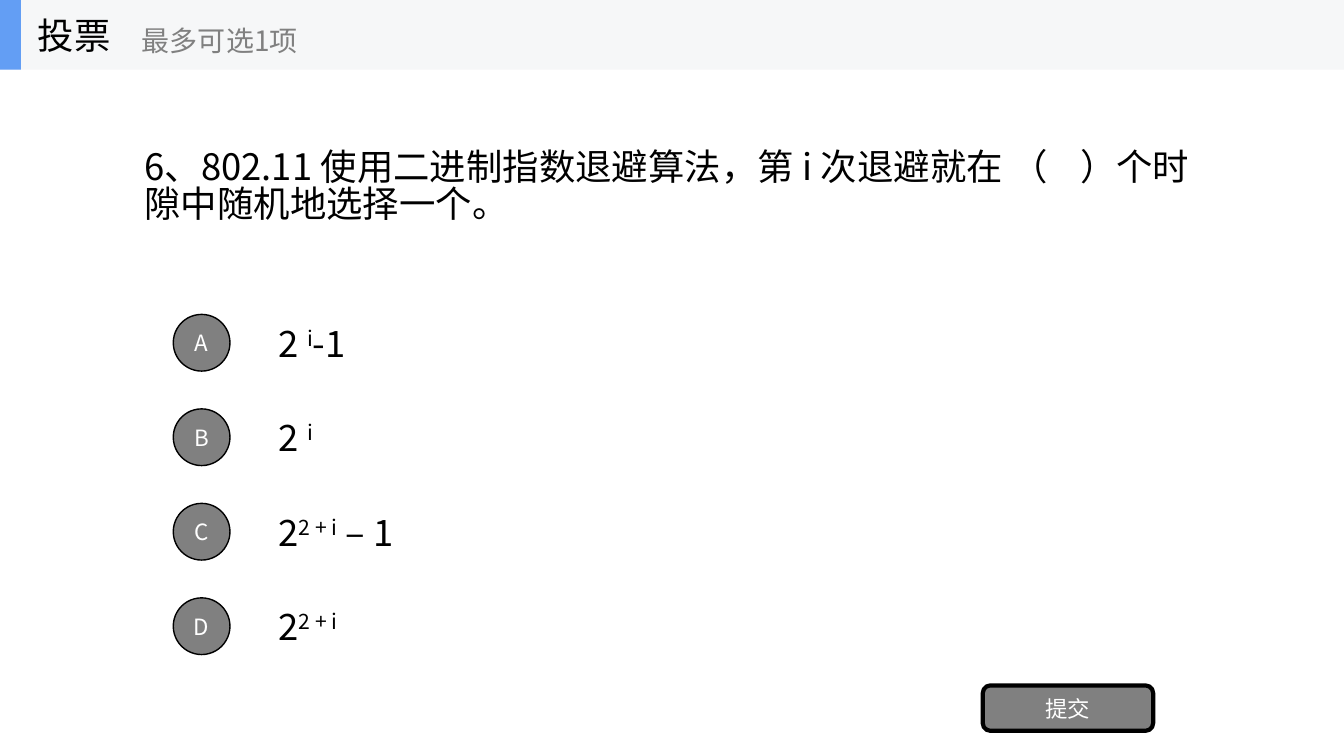
import pptx
import pptx.dml.color
import pptx.enum.shapes
import pptx.enum.text
import pptx.util
import lxml.etree

Pt = pptx.util.Pt
SHAPES = pptx.enum.shapes.MSO_SHAPE
ALIGN = pptx.enum.text.PP_ALIGN
FONT = "Noto Sans CJK SC"
BLACK, GRAY, WHITE = "000000", "808080", "FFFFFF"
HEADER_HEIGHT = 49.7
OPTION_TOP, OPTION_PITCH, OPTION_HEIGHT = 219.6, 67.5, 50.4
BADGE_SIZE = 40.5
QUESTION = "6、802.11 使用二进制指数退避算法，第 i 次退避就在 （    ）个时隙中随机地选择一个。"
OPTIONS = {
    "A": ("2 ", "i", "-1"),
    "B": ("2 ", "i"),
    "C": ("2", "2 + i", " – 1"),
    "D": ("2", "2 + i"),
}


def color(hex_code):
    """Turn a hex string into a colour."""
    return pptx.dml.color.RGBColor.from_string(hex_code)


def format_text(frame, size, hex_code, align=ALIGN.LEFT):
    """Format every run of a frame and centre the text vertically."""
    frame.word_wrap = True
    frame.auto_size = pptx.enum.text.MSO_AUTO_SIZE.NONE
    frame.vertical_anchor = pptx.enum.text.MSO_ANCHOR.MIDDLE
    for paragraph in frame.paragraphs:
        paragraph.alignment = align
        for run in paragraph.runs:
            run.font.size = Pt(size)
            run.font.name = FONT
            run.font.color.rgb = color(hex_code)
            properties = run._r.get_or_add_rPr()
            east_asian = lxml.etree.Element(pptx.oxml.ns.qn("a:ea"), typeface=FONT)
            properties.find(pptx.oxml.ns.qn("a:latin")).addnext(east_asian)


def set_question(slide):
    """Place the question in the title placeholder."""
    question = slide.shapes.title
    question.left, question.top = Pt(96), Pt(49.7)
    question.width, question.height = Pt(768), Pt(168.5)
    question.text_frame.text = QUESTION
    format_text(question.text_frame, 26, BLACK)
    question.text_frame.paragraphs[0].line_spacing = 0.85


def add_label(slide, text, left, top, width, height, size, hex_code):
    """Add a plain line of text."""
    label = slide.shapes.add_textbox(Pt(left), Pt(top), Pt(width), Pt(height))
    label.text_frame.text = text
    format_text(label.text_frame, size, hex_code)


def add_formula(slide, parts, top):
    """Add an answer whose second part is an exponent."""
    answer = slide.shapes.add_textbox(Pt(192), Pt(top), Pt(672), Pt(OPTION_HEIGHT))
    for position, part in enumerate(parts):
        run = answer.text_frame.paragraphs[0].add_run()
        run.text = part
        if position == 1:
            run._r.get_or_add_rPr().set("baseline", "30000")
    format_text(answer.text_frame, 26, BLACK)


def add_block(slide, kind, left, top, width, height, fill):
    """Add a filled shape without outline or shadow."""
    block = slide.shapes.add_shape(kind, Pt(left), Pt(top), Pt(width), Pt(height))
    block.shadow.inherit = False
    block.fill.solid()
    block.fill.fore_color.rgb = color(fill)
    block.line.fill.background()
    return block


def add_button(slide, kind, text, left, top, width, height, border):
    """Add a gray outlined button with white text."""
    button = add_block(slide, kind, left, top, width, height, GRAY)
    button.line.color.rgb = color(BLACK)
    button.line.width = Pt(border)
    frame = button.text_frame
    frame.margin_left = frame.margin_right = frame.margin_top = frame.margin_bottom = 0
    frame.text = text
    format_text(frame, 16, WHITE, ALIGN.CENTER)


def main():
    """Build the poll slide and save it."""
    deck = pptx.Presentation()
    deck.slide_width, deck.slide_height = Pt(960), Pt(540)
    slide = deck.slides.add_slide(deck.slide_layouts[5])
    set_question(slide)

    badge_offset = (OPTION_HEIGHT - BADGE_SIZE) / 2
    for row, (letter, parts) in enumerate(OPTIONS.items()):
        top = OPTION_TOP + row * OPTION_PITCH
        add_formula(slide, parts, top)
        add_button(slide, SHAPES.OVAL, letter, 123.75, top + badge_offset,
                   BADGE_SIZE, BADGE_SIZE, 1)
    add_button(slide, SHAPES.ROUNDED_RECTANGLE, "提交", 702, 489.6, 121.7, 32.4, 3)

    add_block(slide, SHAPES.RECTANGLE, 0, 0, 960, HEADER_HEIGHT, "F6F7F8")
    add_block(slide, SHAPES.RECTANGLE, 0, 0, 15, HEADER_HEIGHT, "639EF4")
    add_label(slide, "投票", 20, 0, 150, HEADER_HEIGHT, 26, BLACK)
    add_label(slide, "最多可选1项", 94.3, 8.6, 180, 40.3, 20, GRAY)
    deck.save("out.pptx")


if __name__ == "__main__":
    main()
